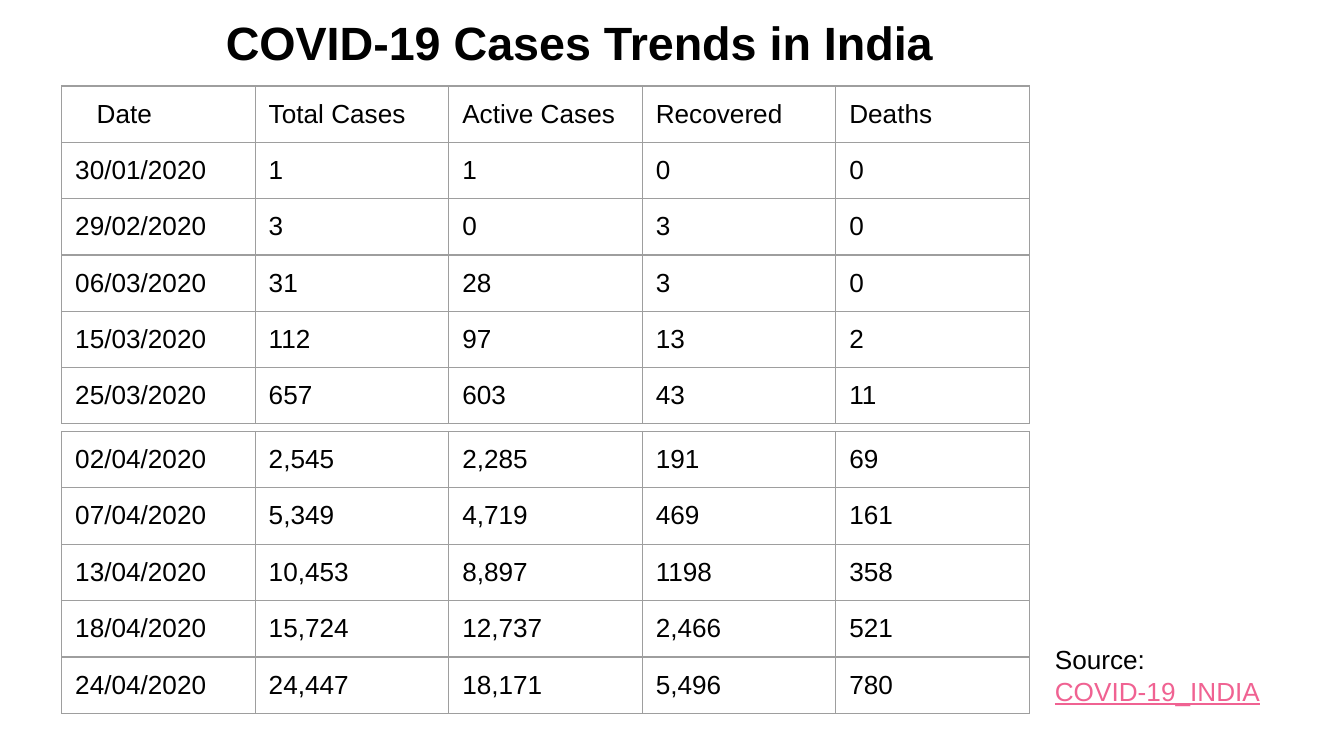
from lxml.etree import SubElement
from pptx import Presentation
from pptx.dml.color import RGBColor
from pptx.enum.text import MSO_ANCHOR, MSO_AUTO_SIZE, PP_ALIGN
from pptx.oxml.ns import qn
from pptx.util import Inches, Pt

COLORS = {"background": "FFFFFF", "text": "000000", "link": "F06292", "border": "9E9E9E"}
INSET = 0.1
COLUMN_WIDTH = 1.44
TABLE_LEFT = 0.46
SLIDE_SIZE = {"slide_width": Inches(10), "slide_height": Inches(10) * 9 // 16}

TITLE_FONT = {"name": "Arial", "size": Pt(25), "bold": True}
BODY_FONT = {"name": "Arial", "size": Pt(14), "bold": False}
FRAME_FORMAT = {
    "word_wrap": True,
    "auto_size": MSO_AUTO_SIZE.NONE,
    "vertical_anchor": MSO_ANCHOR.TOP,
}
MARGINS = {f"margin_{side}": Inches(INSET) for side in ("left", "top", "right", "bottom")}
PLAIN_TABLE = {"first_row": False, "horz_banding": False}

EARLY_CASES = [
    ["Date", "Total Cases", "Active Cases", "Recovered", "Deaths"],
    ["30/01/2020", "1", "1", "0", "0"],
    ["29/02/2020", "3", "0", "3", "0"],
    ["06/03/2020", "31", "28", "3", "0"],
    ["15/03/2020", "112", "97", "13", "2"],
    ["25/03/2020", "657", "603", "43", "11"],
]
APRIL_CASES = [
    ["02/04/2020", "2,545", "2,285", "191", "69"],
    ["07/04/2020", "5,349", "4,719", "469", "161"],
    ["13/04/2020", "10,453", "8,897", "1198", "358"],
    ["18/04/2020", "15,724", "12,737", "2,466", "521"],
    ["24/04/2020", "24,447", "18,171", "5,496", "780"],
]


def apply(target, values):
    """Set every attribute in values on the target."""
    for attribute, value in values.items():
        setattr(target, attribute, value)


def write(paragraph, text, font, color="text"):
    """Put one formatted run into a paragraph."""
    run = paragraph.add_run()
    run.text = text
    apply(run.font, font)
    run.font.color.rgb = RGBColor.from_string(COLORS[color])
    paragraph.alignment = PP_ALIGN.LEFT


def add_borders(cell):
    """Draw a thin line on all four sides of a cell."""
    properties = cell._tc.get_or_add_tcPr()
    for side in ("L", "R", "T", "B"):
        line = SubElement(properties, qn(f"a:ln{side}"), w=str(Pt(0.75)))
        fill = SubElement(line, qn("a:solidFill"))
        SubElement(fill, qn("a:srgbClr"), val=COLORS["border"])


def add_title(slide, left, top, width, height):
    """Place the slide title in its placeholder."""
    title = slide.shapes.title
    box = {"left": left, "top": top, "width": width, "height": height}
    apply(title, {edge: Inches(length) for edge, length in box.items()})
    apply(title.text_frame, FRAME_FORMAT | MARGINS)
    write(title.text_frame.paragraphs[0], "COVID-19 Cases Trends in India", TITLE_FONT)


def add_case_table(slide, left, top, row_height, cases):
    """Place a bordered table of case counts and return it."""
    row_count, column_count = len(cases), len(cases[0])
    table = slide.shapes.add_table(
        row_count, column_count, Inches(left), Inches(top),
        Inches(column_count * COLUMN_WIDTH), Inches(row_count * row_height),
    ).table
    apply(table, PLAIN_TABLE)
    for row, counts in enumerate(cases):
        for column, count in enumerate(counts):
            cell = table.cell(row, column)
            apply(cell, MARGINS)
            add_borders(cell)
            cell.fill.background()
            write(cell.text_frame.paragraphs[0], count, BODY_FONT)
    return table


def add_source(slide, left, top, width, height):
    """Place the source note."""
    source = slide.shapes.add_textbox(*map(Inches, (left, top, width, height))).text_frame
    apply(source, FRAME_FORMAT | MARGINS)
    write(source.paragraphs[0], "Source:", BODY_FONT)
    write(source.add_paragraph(), "COVID-19_INDIA", BODY_FONT | {"underline": True}, "link")


def main():
    """Build and save the case trends slide."""
    presentation = Presentation()
    apply(presentation, SLIDE_SIZE)
    slide = presentation.slides.add_slide(presentation.slide_layouts[5])
    background = slide.background.fill
    background.solid()
    background.fore_color.rgb = RGBColor.from_string(COLORS["background"])

    early_table = add_case_table(slide, TABLE_LEFT, 0.64, 0.36, EARLY_CASES)
    early_table.cell(0, 0).margin_left = Inches(INSET + 0.16)
    add_case_table(slide, TABLE_LEFT, 3.21, 0.42, APRIL_CASES)
    add_title(slide, 1.58, 0, 6.6, 0.47)
    add_source(slide, 7.75, 4.69, 2.22, 0.93)
    presentation.save("out.pptx")


if __name__ == "__main__":
    main()
